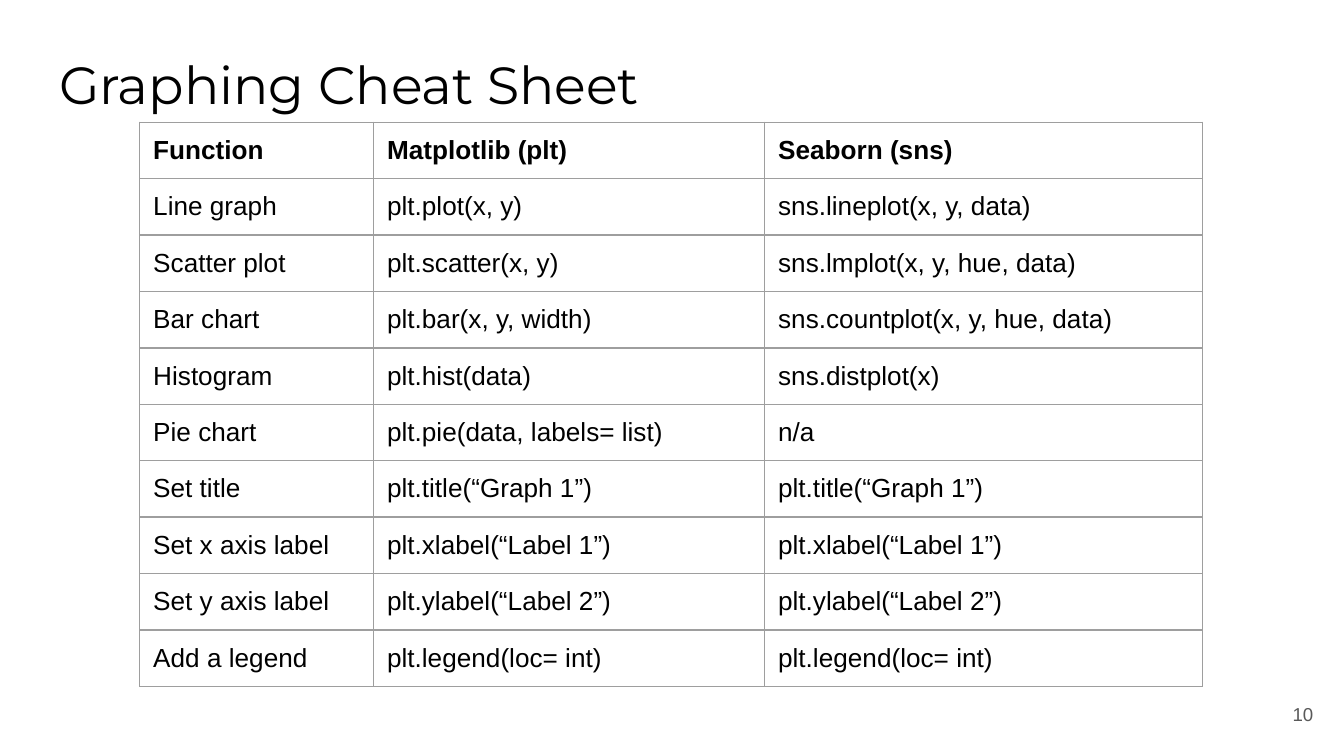
from dataclasses import dataclass

from lxml.etree import SubElement
from pptx import Presentation
from pptx.dml.color import RGBColor
from pptx.enum.text import MSO_ANCHOR, MSO_AUTO_SIZE, PP_ALIGN
from pptx.oxml.ns import qn
from pptx.util import Inches, Pt


@dataclass(frozen=True)
class Theme:
    title_font: str = "Montserrat"
    body_font: str = "Arial"
    text: str = "000000"
    muted: str = "595959"
    border: str = "9E9E9E"
    border_width: float = 0.75
    title_size: int = 28
    table_size: int = 14
    number_size: int = 10


theme = Theme()


def set_text(tf, text, font, size, color, bold=False, align=PP_ALIGN.LEFT):
    tf.text = text
    p = tf.paragraphs[0]
    p.alignment = align
    r = p.runs[0]
    r.font.name = font
    r.font.size = Pt(size)
    r.font.bold = bold
    r.font.color.rgb = RGBColor.from_string(color)


def set_borders(cell):
    tcPr = cell._tc.get_or_add_tcPr()
    for side in ("a:lnL", "a:lnR", "a:lnT", "a:lnB"):
        ln = SubElement(tcPr, qn(side), w=str(Pt(theme.border_width)))
        fill = SubElement(ln, qn("a:solidFill"))
        SubElement(fill, qn("a:srgbClr"), val=theme.border)


# Widescreen 16:9 slide
prs = Presentation()
prs.slide_width, prs.slide_height = Inches(10), Inches(10 * 9 / 16)
slide = prs.slides.add_slide(prs.slide_layouts[5])
inset = Inches(0.1)

# Title
title = slide.shapes.title
title.left, title.top = Inches(0.34), Inches(0.29)
title.width, title.height = Inches(9.32), Inches(0.43)
tf = title.text_frame
tf.auto_size = MSO_AUTO_SIZE.NONE
tf.vertical_anchor = MSO_ANCHOR.TOP
tf.margin_left = tf.margin_right = tf.margin_top = tf.margin_bottom = inset
set_text(tf, "Graphing Cheat Sheet", theme.title_font, theme.title_size, theme.text)

# Cheat sheet table
rows = [
    ("Function", "Matplotlib (plt)", "Seaborn (sns)"),
    ("Line graph", "plt.plot(x, y)", "sns.lineplot(x, y, data)"),
    ("Scatter plot", "plt.scatter(x, y)", "sns.lmplot(x, y, hue, data)"),
    ("Bar chart", "plt.bar(x, y, width)", "sns.countplot(x, y, hue, data)"),
    ("Histogram", "plt.hist(data)", "sns.distplot(x)"),
    ("Pie chart", "plt.pie(data, labels= list)", "n/a"),
    ("Set title", "plt.title(“Graph 1”)", "plt.title(“Graph 1”)"),
    ("Set x axis label", "plt.xlabel(“Label 1”)", "plt.xlabel(“Label 1”)"),
    ("Set y axis label", "plt.ylabel(“Label 2”)", "plt.ylabel(“Label 2”)"),
    ("Add a legend", "plt.legend(loc= int)", "plt.legend(loc= int)"),
]
col_widths = [1.74, 2.91, 3.26]
row_height = 0.42

table = slide.shapes.add_table(
    len(rows), len(col_widths), Inches(1.04), Inches(0.91),
    Inches(sum(col_widths)), Inches(row_height * len(rows))).table
table.horz_banding = False
for column, width in zip(table.columns, col_widths):
    column.width = Inches(width)

for i, row in enumerate(rows):
    table.rows[i].height = Inches(row_height)
    for j, text in enumerate(row):
        cell = table.cell(i, j)
        cell.margin_left = cell.margin_right = inset
        cell.margin_top = cell.margin_bottom = inset
        set_text(cell.text_frame, text, theme.body_font, theme.table_size,
                 theme.text, bold=(i == 0))
        set_borders(cell)
        cell.fill.background()

# Slide number
number = slide.shapes.add_textbox(Inches(9.27), Inches(5.1), Inches(0.6), Inches(0.43))
tf = number.text_frame
tf.word_wrap = True
tf.vertical_anchor = MSO_ANCHOR.MIDDLE
tf.margin_left = tf.margin_right = tf.margin_top = tf.margin_bottom = inset
set_text(tf, "10", theme.body_font, theme.number_size, theme.muted, align=PP_ALIGN.RIGHT)

prs.save("out.pptx")
